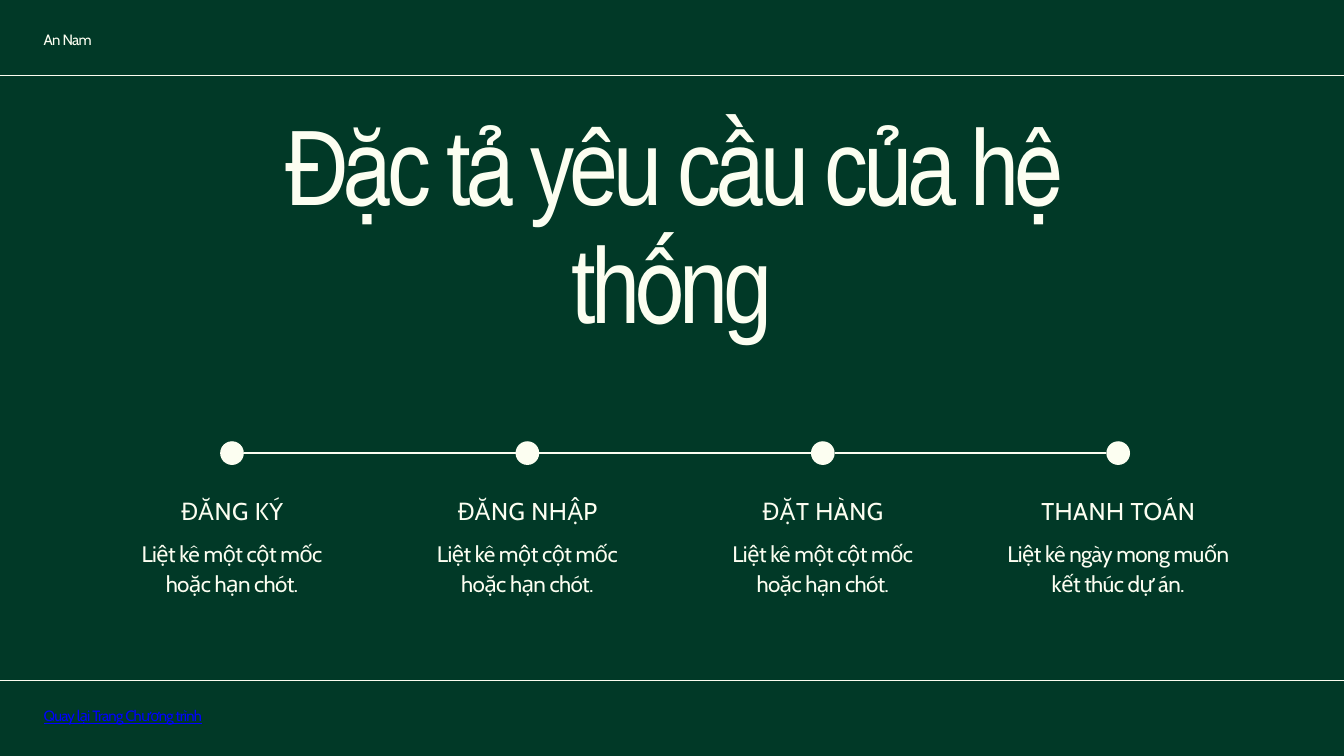
from pptx import Presentation
from pptx.dml.color import RGBColor
from pptx.enum import shapes, text
from pptx.oxml import ns
from pptx.util import Pt
from lxml import etree

COLORS = {"green": "013927", "cream": "FCFEF1", "link": "0000FF"}
CENTER = text.PP_ALIGN.CENTER
LEFT = text.PP_ALIGN.LEFT


def write(box, lines, font, size, leading, tracking, align=LEFT, color="cream"):
    """Fill a text frame, one paragraph per line, without insets."""
    frame = box.text_frame
    frame.word_wrap = True
    frame.auto_size = text.MSO_AUTO_SIZE.NONE
    frame.vertical_anchor = text.MSO_ANCHOR.TOP
    frame.margin_left = frame.margin_top = frame.margin_right = frame.margin_bottom = 0
    frame.text = "\n".join(lines)
    for para in frame.paragraphs:
        para.alignment = align
        para.line_spacing = Pt(leading)
        para.space_before = Pt(0)
        para.font.name = font
        para.font.size = Pt(size)
        para.font.color.rgb = RGBColor.from_string(COLORS[color])
        for span in para.runs:
            span._r.get_or_add_rPr().set("spc", str(round(tracking * 100)))


def add_rule(page, left, right, y, weight):
    rule = page.shapes.add_connector(
        shapes.MSO_CONNECTOR.STRAIGHT, Pt(left), Pt(y), Pt(right), Pt(y))
    rule.line.color.rgb = RGBColor.from_string(COLORS["cream"])
    rule.line.width = Pt(weight)
    etree.SubElement(rule._element.spPr, ns.qn("a:effectLst"))


deck = Presentation()
deck.slide_width, deck.slide_height = Pt(1440), Pt(810)
page = deck.slides.add_slide(deck.slide_layouts[5])
page.background.fill.solid()
page.background.fill.fore_color.rgb = RGBColor.from_string(COLORS["green"])

# Header and footer
for y in (81, 729):
    add_rule(page, 0, 1456, y, 0.75)

header = page.shapes.add_textbox(Pt(46.8), Pt(35.3), Pt(70.6), Pt(17.3))
write(header, ["An Nam"], "Cabin", 16, 16.9, -0.7)

footer = page.shapes.add_textbox(Pt(46.8), Pt(757.5), Pt(193), Pt(18))
write(footer, ["Quay lại Trang Chương trình"], "Cabin", 16, 19.2, -0.8, color="link")
footer.text_frame.paragraphs[0].font.underline = True

# Title
title = page.shapes.title
title.left, title.top, title.width, title.height = Pt(271.4), Pt(116.6), Pt(898), Pt(128)
write(title, ["Đặc tả yêu cầu của hệ thống"], "Arial Narrow", 115, 126.5, -5.2, CENTER)

# Timeline
milestone = ["Liệt kê một cột mốc", "hoặc hạn chót."]
steps = [
    ("ĐĂNG KÝ", milestone, 235.4),
    ("ĐĂNG NHẬP", milestone, 235.4),
    ("ĐẶT HÀNG", milestone, 235.4),
    ("THANH TOÁN", ["Liệt kê ngày mong muốn", "kết thúc dự án."], 262),
]
first_center, pitch, axis_y, radius = 248.6, 316.5, 485.5, 12.7

for index, (name, details, width) in enumerate(steps):
    center = first_center + index * pitch
    dot = page.shapes.add_shape(
        shapes.MSO_SHAPE.OVAL, Pt(center - radius), Pt(axis_y - radius),
        Pt(2 * radius), Pt(2 * radius))
    dot.shadow.inherit = False
    dot.fill.solid()
    dot.fill.fore_color.rgb = RGBColor.from_string(COLORS["cream"])
    dot.line.fill.background()
    if index:
        add_rule(page, center - pitch + radius, center - radius, axis_y, 1.5)

    left = center - width / 2
    heading = page.shapes.add_textbox(Pt(left), Pt(532), Pt(width), Pt(31))
    write(heading, [name], "Cabin", 26, 31.2, 0.5, CENTER)
    description = page.shapes.add_textbox(Pt(left), Pt(576.7), Pt(width), Pt(60.5))
    write(description, details, "Cabin", 24, 31.2, -0.7, CENTER)

deck.save("out.pptx")
